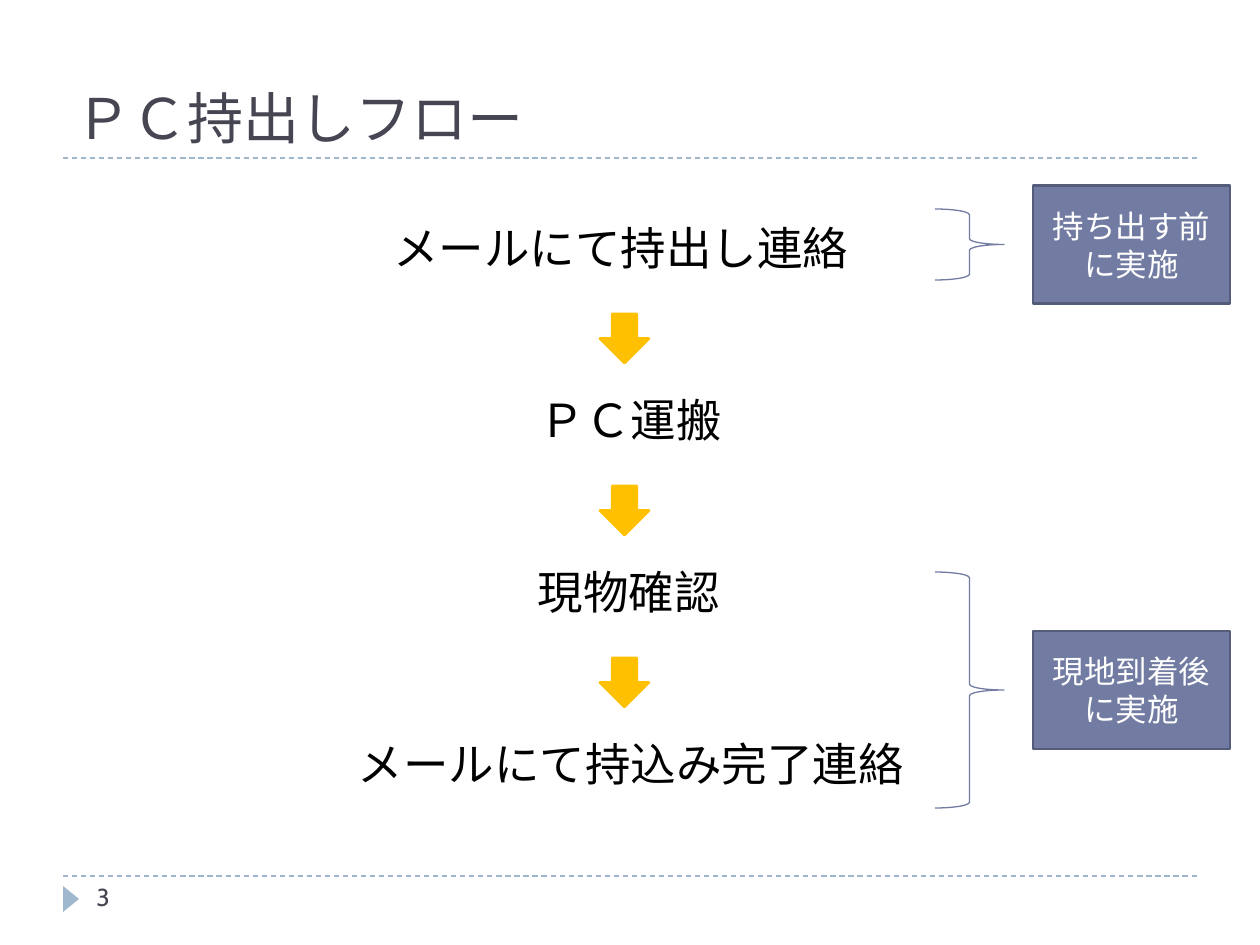
from pptx import Presentation
from pptx.dml.color import RGBColor
from pptx.enum.dml import MSO_LINE
from pptx.enum.shapes import MSO_CONNECTOR, MSO_SHAPE as SHAPE
from pptx.enum.text import MSO_ANCHOR as ANCHOR, PP_ALIGN as ALIGN
from pptx.util import Pt
from lxml.etree import SubElement
from pptx.oxml.ns import qn

TITLE = "ＰＣ持出しフロー"
PAGE = "3"
STEPS = [
    ("メールにて持出し連絡", 54),
    ("ＰＣ運搬", 64),
    ("現物確認", 62),
    ("メールにて持込み完了連絡", 64),
]
NOTES = [
    (["持ち出す前", "に実施"], 209, 71),
    (["現地到着後", "に実施"], 572, 236),
]
RULES = [876, 158]

HEAD_FONT, BODY_FONT = "Roboto Slab", "Cabin"
INK, PALE, ACCENT, EDGE, GOLD = "464653", "9FB8CD", "727CA3", "545C79", "FFC000"
STEP_TOP, PITCH, ARROW_TOP, ARROW = 214, 172, 314, 49
NOTE_HEIGHT = 118


def px(n):
    return round(n * 914400 / 126)


def color(value):
    return RGBColor.from_string(value)


def write(s, lines, size=18, font=BODY_FONT, ink=INK, align=ALIGN.LEFT, anchor=ANCHOR.TOP):
    tf = s.text_frame
    tf.word_wrap = True
    tf.vertical_anchor = anchor
    for i, line in enumerate(lines):
        p = tf.add_paragraph() if i else tf.paragraphs[0]
        p.alignment = align
        r = p.add_run()
        r.text = line
        r.font.size = Pt(size)
        r.font.name = font
        r.font.color.rgb = color(ink)


def add_text(slide, box, lines, **style):
    write(slide.shapes.add_textbox(*map(px, box)), lines, **style)


def add_shape(slide, kind, box, fill=None, line=None, width=1.5):
    s = slide.shapes.add_shape(kind, *map(px, box))
    s.shadow.inherit = False
    if fill:
        s.fill.solid()
        s.fill.fore_color.rgb = color(fill)
    else:
        s.fill.background()
    if line:
        s.line.color.rgb = color(line)
        s.line.width = Pt(width)
    else:
        s.line.fill.background()
    return s


def add_rule(slide, y):
    c = slide.shapes.add_connector(MSO_CONNECTOR.STRAIGHT, px(63), px(y), px(1197), px(y))
    c.line.color.rgb = color(PALE)
    c.line.width = Pt(0.75)
    c.line.dash_style = MSO_LINE.DASH
    SubElement(c._element.spPr, qn("a:effectLst"))


def main():
    prs = Presentation()
    prs.slide_width, prs.slide_height = px(1260), px(945)
    slide = prs.slides.add_slide(prs.slide_layouts[5])

    for y in RULES:
        add_rule(slide, y)
    add_shape(slide, SHAPE.ISOSCELES_TRIANGLE, (58, 891, 26, 16), PALE).rotation = 90

    title = slide.shapes.title
    title.left, title.top, title.width, title.height = map(px, (63, 21, 1134, 136))
    write(title, [TITLE], size=32, font=HEAD_FONT, anchor=ANCHOR.BOTTOM)
    add_text(slide, (84, 876, 273, 50), [PAGE], size=14)

    for i, (step, left) in enumerate(STEPS):
        add_text(slide, (left, STEP_TOP + i * PITCH, 1134, 77), [step],
                 size=26, ink="000000", align=ALIGN.CENTER)
    for i in range(len(STEPS) - 1):
        add_shape(slide, SHAPE.DOWN_ARROW, (600, ARROW_TOP + i * PITCH, ARROW, ARROW), GOLD, GOLD)

    for lines, top, height in NOTES:
        add_shape(slide, SHAPE.RIGHT_BRACE, (935, top, 69, height), line=ACCENT, width=0.75)
        note_top = top + (height - NOTE_HEIGHT) / 2
        note = add_shape(slide, SHAPE.RECTANGLE, (1033, note_top, 197, NOTE_HEIGHT), ACCENT, EDGE)
        write(note, lines, ink="FFFFFF", align=ALIGN.CENTER, anchor=ANCHOR.MIDDLE)

    prs.save("out.pptx")


if __name__ == "__main__":
    main()
